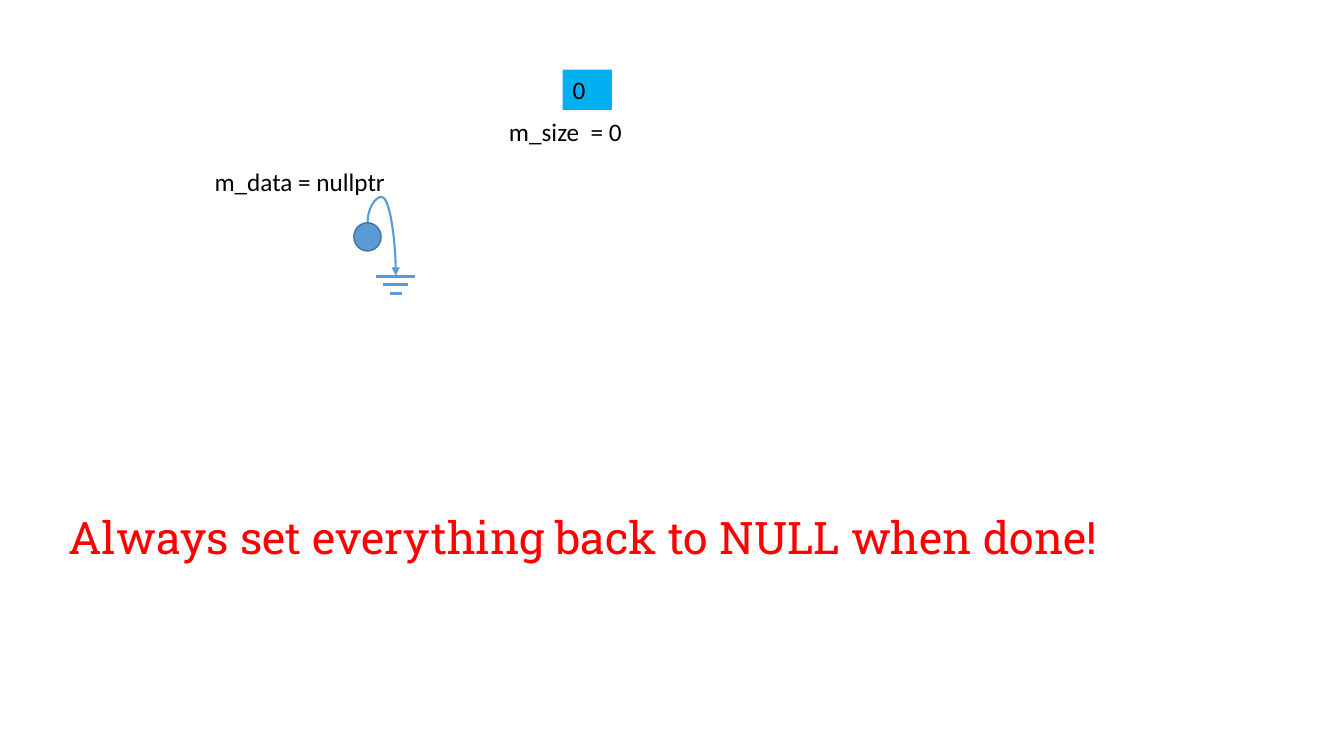
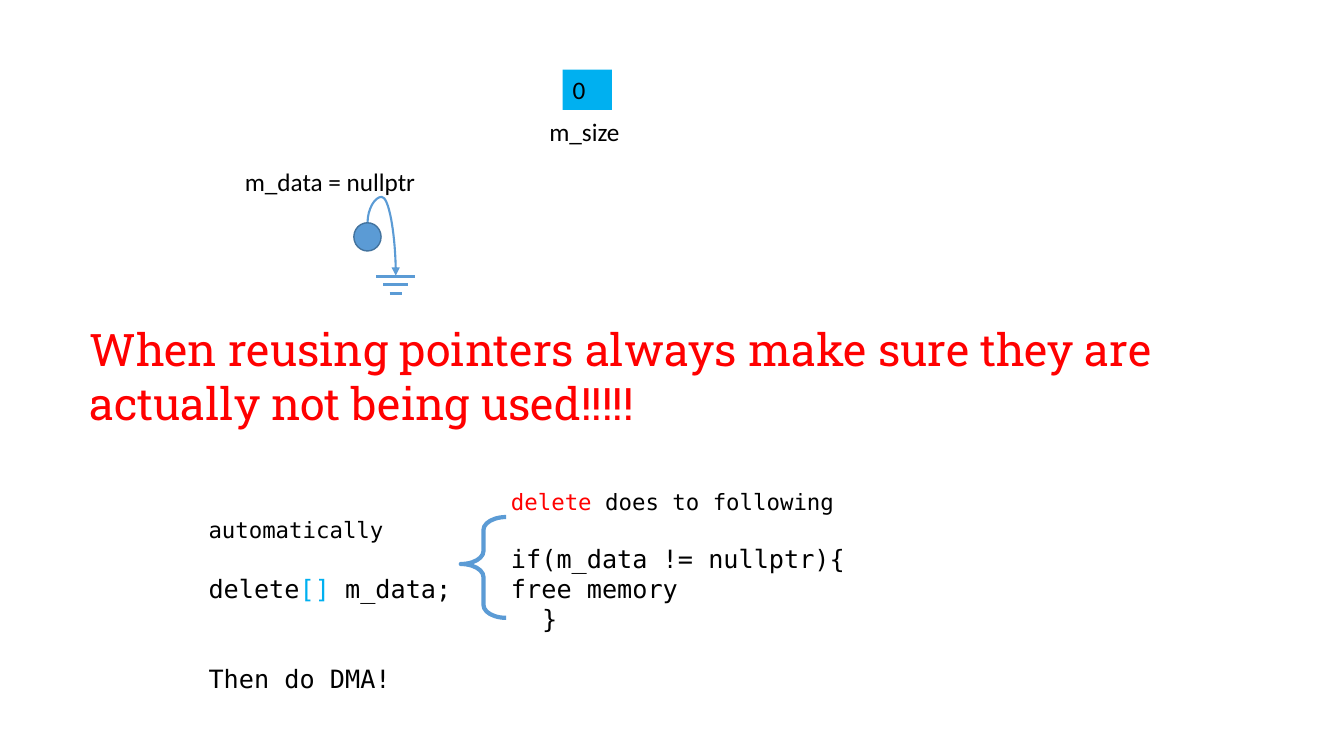
from dataclasses import dataclass
from typing import Optional

from pptx import Presentation
from pptx.dml.color import RGBColor
from pptx.enum.shapes import MSO_CONNECTOR as CXN, MSO_SHAPE as SHAPE
from pptx.enum.text import MSO_ANCHOR, PP_ALIGN
from pptx.oxml.ns import qn
from pptx.util import Inches, Pt
from lxml.etree import SubElement

COLORS = {
    "text": "000000",
    "warning": "FF0000",
    "blue": "5B9BD5",
    "outline": "43739E",
    "cyan": "00B0F0",
}
BODY, HEADING, CODE = "Calibri", "Roboto Slab", "DejaVu Sans Mono"
CODE_TABS = (3.0, 3.31, 3.91)


@dataclass
class Box:
    left: float
    top: float
    width: float
    height: float

    def emu(self) -> list:
        return [Inches(v) for v in (self.left, self.top, self.width, self.height)]


@dataclass
class Run:
    text: str
    color: str = "text"
    size: Optional[float] = None


def rgb(name: str) -> RGBColor:
    return RGBColor.from_string(COLORS[name])


# Text
def write(p, text: str, *, font: str = BODY, size: float = 18, color: str = "text") -> None:
    p.alignment = PP_ALIGN.LEFT
    r = p.add_run()
    r.text = text
    r.font.name, r.font.size = font, Pt(size)
    r.font.color.rgb = rgb(color)


def add_text(s, box: Box, text: str, **fmt):
    sp = s.shapes.add_textbox(*box.emu())
    sp.text_frame.word_wrap = True
    write(sp.text_frame.paragraphs[0], text, **fmt)
    return sp


def add_code(s, box: Box, lines: list) -> None:
    tf = s.shapes.add_textbox(*box.emu()).text_frame
    tf.word_wrap = True
    for i, runs in enumerate(lines):
        p = tf.paragraphs[0] if i == 0 else tf.add_paragraph()
        tabs = SubElement(p._p.get_or_add_pPr(), qn("a:tabLst"))
        for pos in CODE_TABS:
            SubElement(tabs, qn("a:tab"), pos=str(Inches(pos)), algn="l")
        for run in runs:
            write(p, run.text, font=CODE, size=run.size or 18, color=run.color)
    tf.paragraphs[-1].space_before = Pt(21)


# Shapes and lines
def add_shape(s, kind, box: Box, *, fill: Optional[str] = None,
              line: Optional[str] = None, width: float = 1):
    sp = s.shapes.add_shape(kind, *box.emu())
    sp.shadow.inherit = False
    if fill:
        sp.fill.solid()
        sp.fill.fore_color.rgb = rgb(fill)
    else:
        sp.fill.background()
    if line:
        sp.line.color.rgb = rgb(line)
        sp.line.width = Pt(width)
    else:
        sp.line.fill.background()
    return sp


def add_line(s, x1: float, y1: float, x2: float, y2: float, *,
             width: float = 2.25, kind=CXN.STRAIGHT):
    c = s.shapes.add_connector(kind, *[Inches(v) for v in (x1, y1, x2, y2)])
    c.line.color.rgb = rgb("blue")
    c.line.width = Pt(width)
    SubElement(c._element.spPr, qn("a:effectLst"))
    return c


# Null pointer: dot, curved arrow and ground symbol
def add_null_pointer(s) -> None:
    add_shape(s, SHAPE.OVAL, Box(3.51, 2.21, 0.27, 0.28), fill="blue", line="outline")
    c = add_line(s, 3.52, 2.33, 4.05, 2.61, width=1.5, kind=CXN.CURVE)
    spPr = c._element.spPr
    xfrm = spPr.find(qn("a:xfrm"))
    xfrm.set("rot", str(270 * 60000))
    xfrm.set("flipH", "1")
    guides = spPr.find(qn("a:prstGeom")).get_or_add_avLst()
    SubElement(guides, qn("a:gd"), name="adj1", fmla="val -47600")
    SubElement(c.line._get_or_add_ln(), qn("a:tailEnd"), type="triangle")
    for i, half in enumerate((0.195, 0.125, 0.06)):
        y = 2.74 + i * 0.085
        add_line(s, 3.925 - half, y, 3.925 + half, y)


# Members shared by both slides
def add_members(s, data_box: Box, size_box: Box, size_label: str) -> None:
    add_null_pointer(s)
    add_text(s, data_box, "m_data = nullptr")
    add_text(s, size_box, size_label)
    cell = add_shape(s, SHAPE.RECTANGLE, Box(5.58, 0.69, 0.49, 0.4), fill="cyan")
    tf = cell.text_frame
    tf.vertical_anchor = MSO_ANCHOR.TOP
    write(tf.paragraphs[0], "0")


def add_warning(s, box: Box, text: str) -> None:
    add_text(s, box, text, font=HEADING, size=32, color="warning")


prs = Presentation()
prs.slide_width, prs.slide_height = Inches(13.33), Inches(7.5)
blank = prs.slide_layouts[6]

# Slide 1: reset members
s = prs.slides.add_slide(blank)
add_members(s, Box(2.03, 1.6, 2.76, 0.4), Box(4.95, 1.1, 1.56, 0.4), "m_size  = 0")
add_warning(s, Box(0.58, 5.01, 11.27, 0.64), "Always set everything back to NULL when done!")

# Slide 2: reuse pointers
s = prs.slides.add_slide(blank)
add_members(s, Box(2.33, 1.6, 2.47, 0.4), Box(5.35, 1.1, 1.16, 0.4), "m_size")
add_warning(s, Box(0.79, 3.14, 11.27, 1.18),
            "When reusing pointers always make sure they are actually not being used!!!!!")
add_code(s, Box(1.97, 4.77, 8.17, 1.92), [
    [Run("\t"), Run("delete", "warning", 16), Run(" does to following automatically", size=16)],
    [Run("\tif(m_data != nullptr){")],
    [Run("delete"), Run("[] ", "cyan"), Run("m_data;\tfree memory")],
    [Run("\t\t}")],
    [Run("Then do DMA!")],
])
brace = add_shape(s, SHAPE.LEFT_BRACE, Box(4.57, 5.13, 0.45, 1), line="blue", width=3)
brace.adjustments[0], brace.adjustments[1] = 0.285, 0.466

prs.save("out.pptx")
